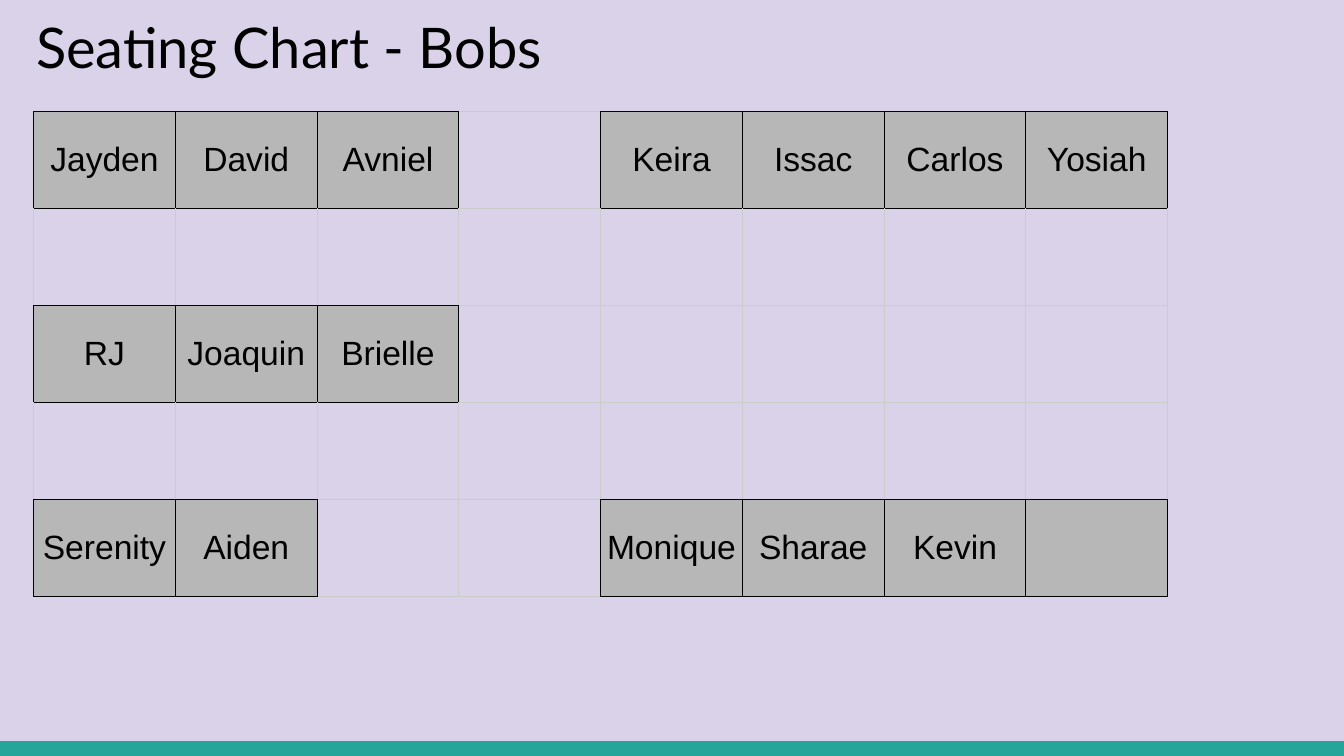
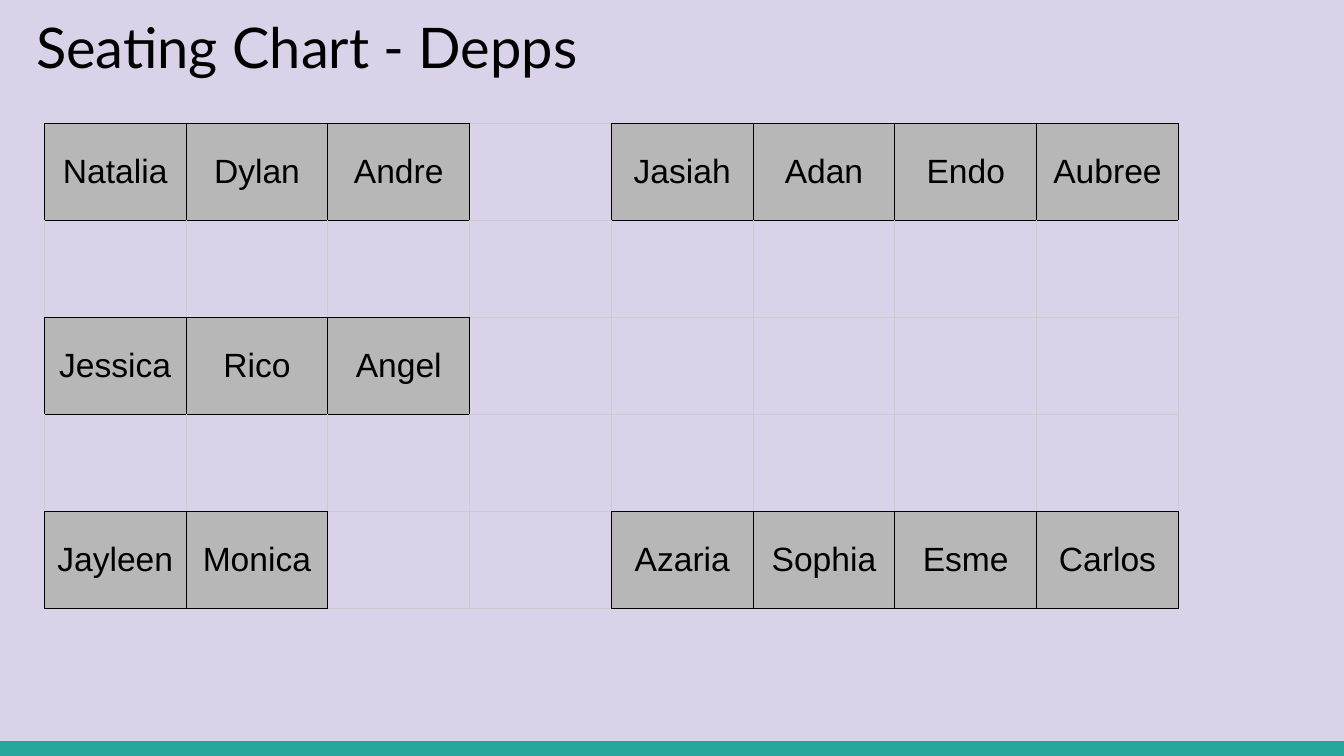
from dataclasses import dataclass
from typing import Any, Optional

from lxml import etree
from pptx import Presentation, util as u
from pptx.dml.color import RGBColor
from pptx.enum import shapes, text
from pptx.oxml.ns import qn

# Shared look, on a 16:9 page
LILAC, TEAL, BLACK = "D9D2E9", "26A69A", "000000"
SEAT_GREY, GRID_GREY = "B7B7B7", "CCCCCC"
PAGE_WIDTH = u.Inches(10)
PAGE_HEIGHT = u.Emu(PAGE_WIDTH * 9 // 16)
BAND_HEIGHT = u.Inches(0.11)
TABLE_WIDTH, TABLE_HEIGHT = u.Inches(8.44), u.Inches(3.61)
BORDER_WIDTH = u.Pt(0.62)
TITLE_FRAME = dict(word_wrap=True, vertical_anchor=text.MSO_ANCHOR.TOP,
                   margin_left=u.Inches(0.1), margin_right=u.Inches(0.1),
                   margin_top=u.Inches(0.1), margin_bottom=u.Inches(0.1))
SEAT_CELL = dict(vertical_anchor=text.MSO_ANCHOR.MIDDLE,
                 margin_left=u.Inches(0.03), margin_right=u.Inches(0.03),
                 margin_top=u.Inches(0.02), margin_bottom=u.Inches(0.02))
TITLE_FONT = dict(name="Lato", size=u.Pt(30))
SEAT_FONT = dict(name="Arial", size=u.Pt(18))

# Border tag and the step to the neighbouring cell, in schema order
SIDES = {"a:lnL": (0, -1), "a:lnR": (0, 1), "a:lnT": (-1, 0), "a:lnB": (1, 0)}

# None is floor space; an empty string is a free seat
Room = list[list[Optional[str]]]
AISLE = [None] * 8


@dataclass
class SeatingChart:
    group: str
    left: float
    top: float
    room: Room


CHARTS = [
    SeatingChart("Bobs", 0.25, 0.83, [
        ["Jayden", "David", "Avniel", None, "Keira", "Issac", "Carlos", "Yosiah"],
        AISLE,
        ["RJ", "Joaquin", "Brielle", None, None, None, None, None],
        AISLE,
        ["Serenity", "Aiden", None, None, "Monique", "Sharae", "Kevin", ""],
    ]),
    SeatingChart("Depps", 0.33, 0.92, [
        ["Natalia", "Dylan", "Andre", None, "Jasiah", "Adan", "Endo", "Aubree"],
        AISLE,
        ["Jessica", "Rico", "Angel", None, None, None, None, None],
        AISLE,
        ["Jayleen", "Monica", None, None, "Azaria", "Sophia", "Esme", "Carlos"],
    ]),
]


def colour(value: str) -> RGBColor:
    return RGBColor.from_string(value)


def apply(target: Any, values: dict[str, Any]) -> None:
    for name, value in values.items():
        setattr(target, name, value)


def write(para: Any, words: str, font: dict[str, Any]) -> None:
    span = para.add_run()
    span.text = words
    apply(span.font, font)
    span.font.color.rgb = colour(BLACK)


def add_frame(page: Any, title: str) -> None:
    """Background, bottom band and title."""
    page.background.fill.solid()
    page.background.fill.fore_color.rgb = colour(LILAC)

    band = page.shapes.add_shape(shapes.MSO_SHAPE.RECTANGLE, 0, PAGE_HEIGHT - BAND_HEIGHT,
                                 PAGE_WIDTH, BAND_HEIGHT)
    band.shadow.inherit = False
    band.fill.solid()
    band.fill.fore_color.rgb = colour(TEAL)
    band.line.fill.background()

    box = page.shapes.add_textbox(u.Inches(0.17), u.Inches(-0.01),
                                  u.Inches(9.32), u.Inches(0.77))
    apply(box.text_frame, TITLE_FRAME)
    write(box.text_frame.paragraphs[0], title, TITLE_FONT)


def is_seat(room: Room, row: int, col: int) -> bool:
    inside = 0 <= row < len(room) and 0 <= col < len(room[0])
    return inside and room[row][col] is not None


def add_border(cell: Any, side: str, value: str) -> None:
    properties = cell._tc.get_or_add_tcPr()
    line = etree.SubElement(properties, qn(side), w=str(int(BORDER_WIDTH)))
    fill = etree.SubElement(line, qn("a:solidFill"))
    etree.SubElement(fill, qn("a:srgbClr"), val=value)


def add_room(page: Any, chart: SeatingChart) -> None:
    """Seats are grey with black edges; floor space keeps a pale grid."""
    room = chart.room
    table = page.shapes.add_table(len(room), len(room[0]), u.Inches(chart.left),
                                  u.Inches(chart.top), TABLE_WIDTH, TABLE_HEIGHT).table
    apply(table, dict(first_row=False, horz_banding=False))
    for row, names in enumerate(room):
        for col, name in enumerate(names):
            cell = table.cell(row, col)
            apply(cell, SEAT_CELL)
            for side, (down, across) in SIDES.items():
                edged = name is not None or is_seat(room, row + down, col + across)
                add_border(cell, side, BLACK if edged else GRID_GREY)
            if name is None:
                cell.fill.background()
                continue
            cell.fill.solid()
            cell.fill.fore_color.rgb = colour(SEAT_GREY)
            if name:
                para = cell.text_frame.paragraphs[0]
                para.alignment = text.PP_ALIGN.CENTER
                write(para, name, SEAT_FONT)


def main() -> None:
    deck = Presentation()
    apply(deck, dict(slide_width=PAGE_WIDTH, slide_height=PAGE_HEIGHT))
    for chart in CHARTS:
        page = deck.slides.add_slide(deck.slide_layouts[6])
        add_frame(page, f"Seating Chart - {chart.group}")
        add_room(page, chart)
    deck.save("out.pptx")


if __name__ == "__main__":
    main()
